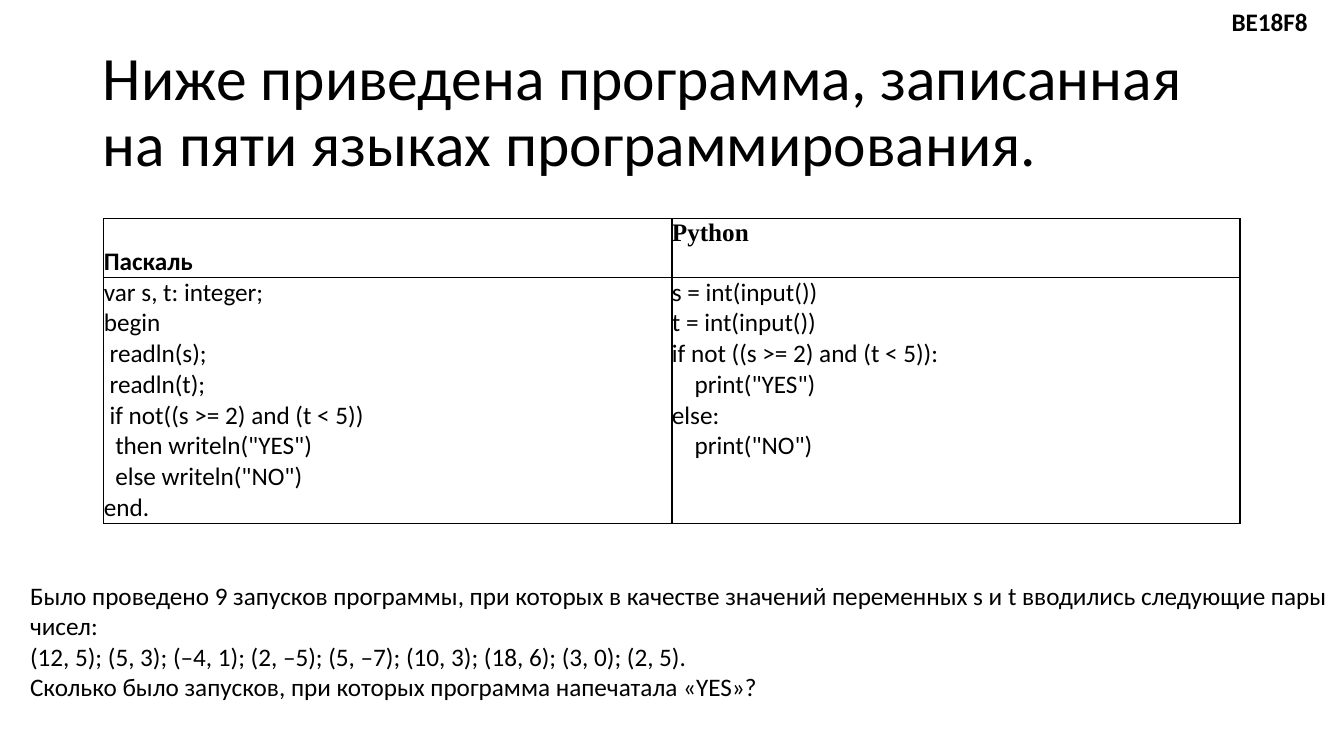
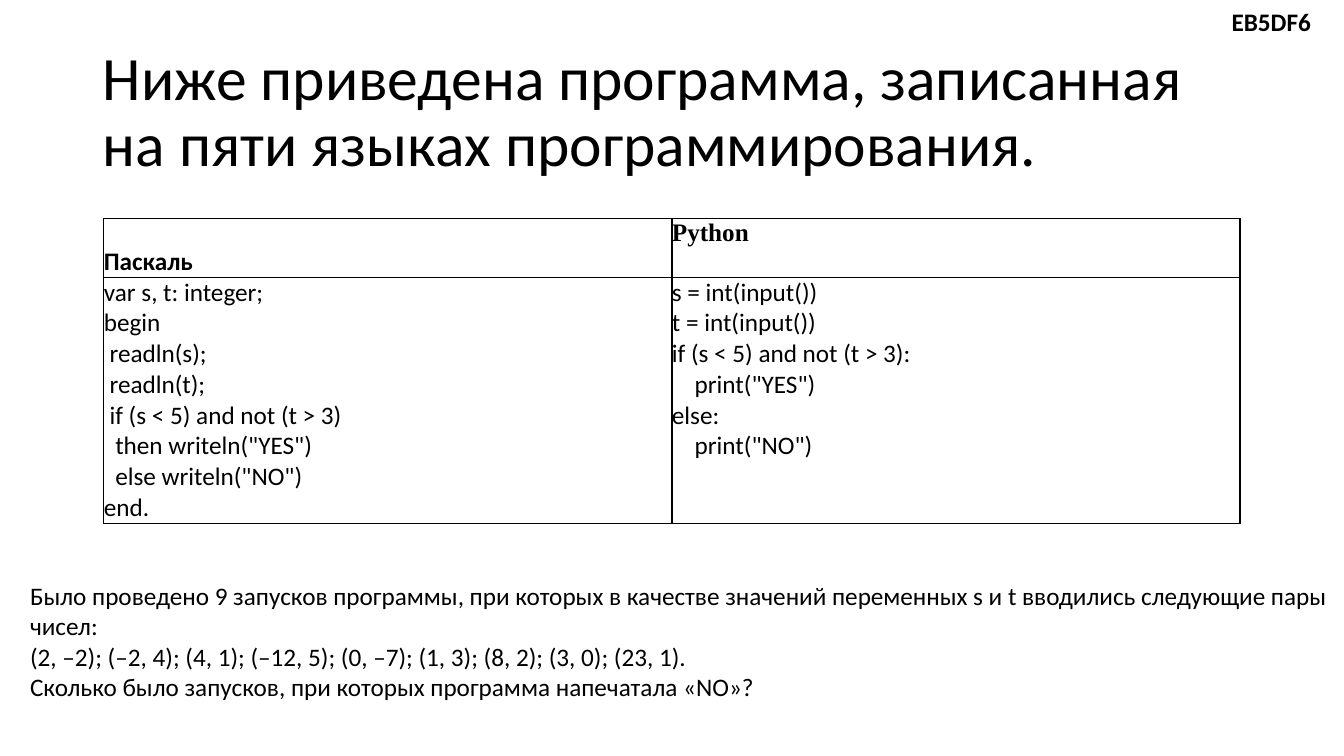
import pptx
import pptx.dml.color
import pptx.enum.text
import pptx.oxml
import pptx.oxml.ns
import pptx.util
from dataclasses import dataclass

ANCHOR = pptx.enum.text.MSO_ANCHOR
ALIGN = pptx.enum.text.PP_ALIGN
AUTO = pptx.enum.text.MSO_AUTO_SIZE


# Theme
@dataclass(frozen=True)
class Theme:
    ink = pptx.dml.color.RGBColor(0, 0, 0)
    font = "Calibri"
    serif = "Times New Roman"
    title = pptx.util.Pt(44)
    text = pptx.util.Pt(18)
    space = pptx.util.Pt(4.07)  # width of one space of code
    border = pptx.util.Pt(1)


# Content
TITLE = "Ниже приведена программа, записанная на пяти языках программирования."
HEADS = [("Паскаль", Theme.font, ANCHOR.BOTTOM), ("Python", Theme.serif, ANCHOR.TOP)]
PASCAL = """var s, t: integer;
begin
 readln(s);
 readln(t);
 if {}
  then writeln("YES")
  else writeln("NO")
end."""
PYTHON = """s = int(input())
t = int(input())
if {}:
    print("YES")
else:
    print("NO")"""
RUNS = ("Было проведено 9 запусков программы, при которых в качестве значений "
        "переменных s и t вводились следующие пары чисел:")
QUESTION = "Сколько было запусков, при которых программа напечатала «{}»?"
TASKS = [
    # code, Pascal condition, Python condition, pairs, printed word
    ("BE18F8", "not((s >= 2) and (t < 5))", "not ((s >= 2) and (t < 5))",
     "(12, 5); (5, 3); (–4, 1); (2, –5); (5, –7); (10, 3); (18, 6); (3, 0); (2, 5).", "YES"),
    ("EB5DF6", "(s < 5) and not (t > 3)", "(s < 5) and not (t > 3)",
     "(2, –2); (–2, 4); (4, 1); (–12, 5); (0, –7); (1, 3); (8, 2); (3, 0); (23, 1).", "NO"),
]

prs = pptx.Presentation()
prs.slide_width = pptx.util.Inches(13.333)
prs.slide_height = pptx.util.Inches(7.5)


def box(*shares):
    """Left, top, width and height from percentages of the slide."""
    sides = (prs.slide_width, prs.slide_height) * 2
    return [int(side * share / 100) for side, share in zip(sides, shares)]


def write(tf, lines, size=Theme.text, font=Theme.font, bold=False):
    """One paragraph a line; leading spaces become a left indent."""
    for i, line in enumerate(lines):
        p = tf.paragraphs[0] if i == 0 else tf.add_paragraph()
        text = line.lstrip()
        indent = len(line) - len(text)
        if indent:
            p._p.get_or_add_pPr().set("marL", str(indent * Theme.space))
        r = p.add_run()
        r.text = text
        r.font.size, r.font.name, r.font.bold = size, font, bold
        r.font.color.rgb = Theme.ink


for code, pascal_if, python_if, pairs, word in TASKS:
    slide = prs.slides.add_slide(prs.slide_layouts[5])

    # Title
    sp = slide.shapes.title
    sp.left, sp.top, sp.width, sp.height = box(6.9, 5.33, 86.25, 19.33)
    tf = sp.text_frame
    tf.auto_size, tf.vertical_anchor = AUTO.NONE, ANCHOR.MIDDLE
    write(tf, [TITLE], Theme.title)
    tf.paragraphs[0].alignment = ALIGN.LEFT
    tf.paragraphs[0].line_spacing = 0.9

    # Programs
    table = slide.shapes.add_table(2, 2, *box(7.73, 28.93, 84.53, 40.27)).table
    table.first_row = table.horz_banding = False
    for row, share in zip(table.rows, (7.73, 32.54)):
        row.height = int(prs.slide_height * share / 100)
    for col, (head, font, anchor) in enumerate(HEADS):
        cell = table.cell(0, col)
        cell.vertical_anchor = anchor
        write(cell.text_frame, [head], font=font, bold=True)
    for col, program in enumerate((PASCAL.format(pascal_if), PYTHON.format(python_if))):
        write(table.cell(1, col).text_frame, program.split("\n"))

    # Cell margins and borders
    for cell in table.iter_cells():
        cell.margin_left = cell.margin_right = cell.margin_top = cell.margin_bottom = 0
        cell.fill.background()
        for i, side in enumerate("LRTB"):
            cell._tc.get_or_add_tcPr().insert(i, pptx.oxml.parse_xml(
                f'<a:ln{side} {pptx.oxml.ns.nsdecls("a")} w="{Theme.border}"><a:solidFill>'
                f'<a:srgbClr val="{Theme.ink}"/></a:solidFill></a:ln{side}>'))

    # Task code
    tf = slide.shapes.add_textbox(*box(90.9, 0.13, 7.4, 5.33)).text_frame
    tf.word_wrap = False
    write(tf, [code], bold=True)

    # Question
    tf = slide.shapes.add_textbox(*box(1.5, 76.13, 98.5, 17.47)).text_frame
    tf.word_wrap = True
    write(tf, [RUNS, pairs, QUESTION.format(word)])

prs.save("out.pptx")
